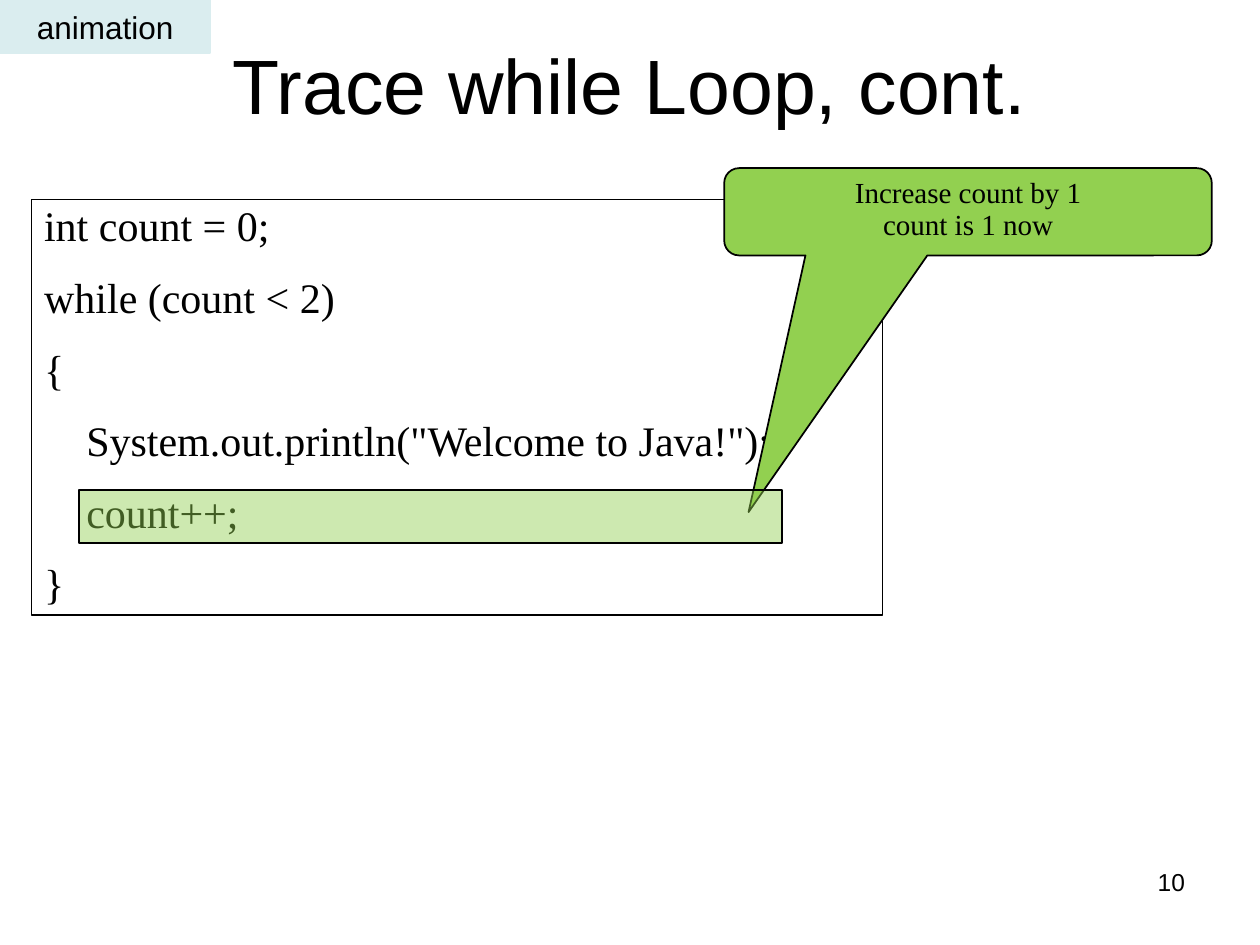
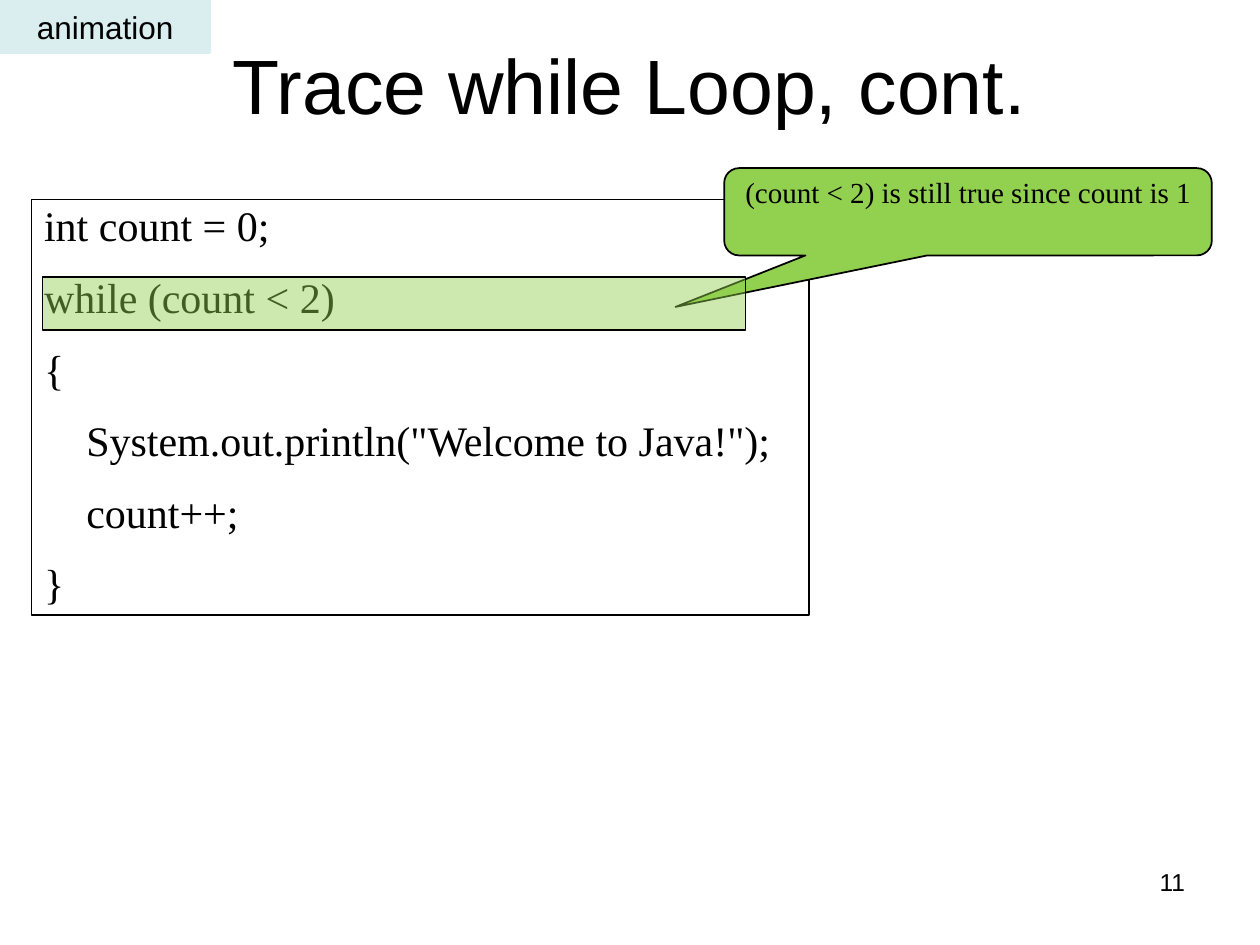
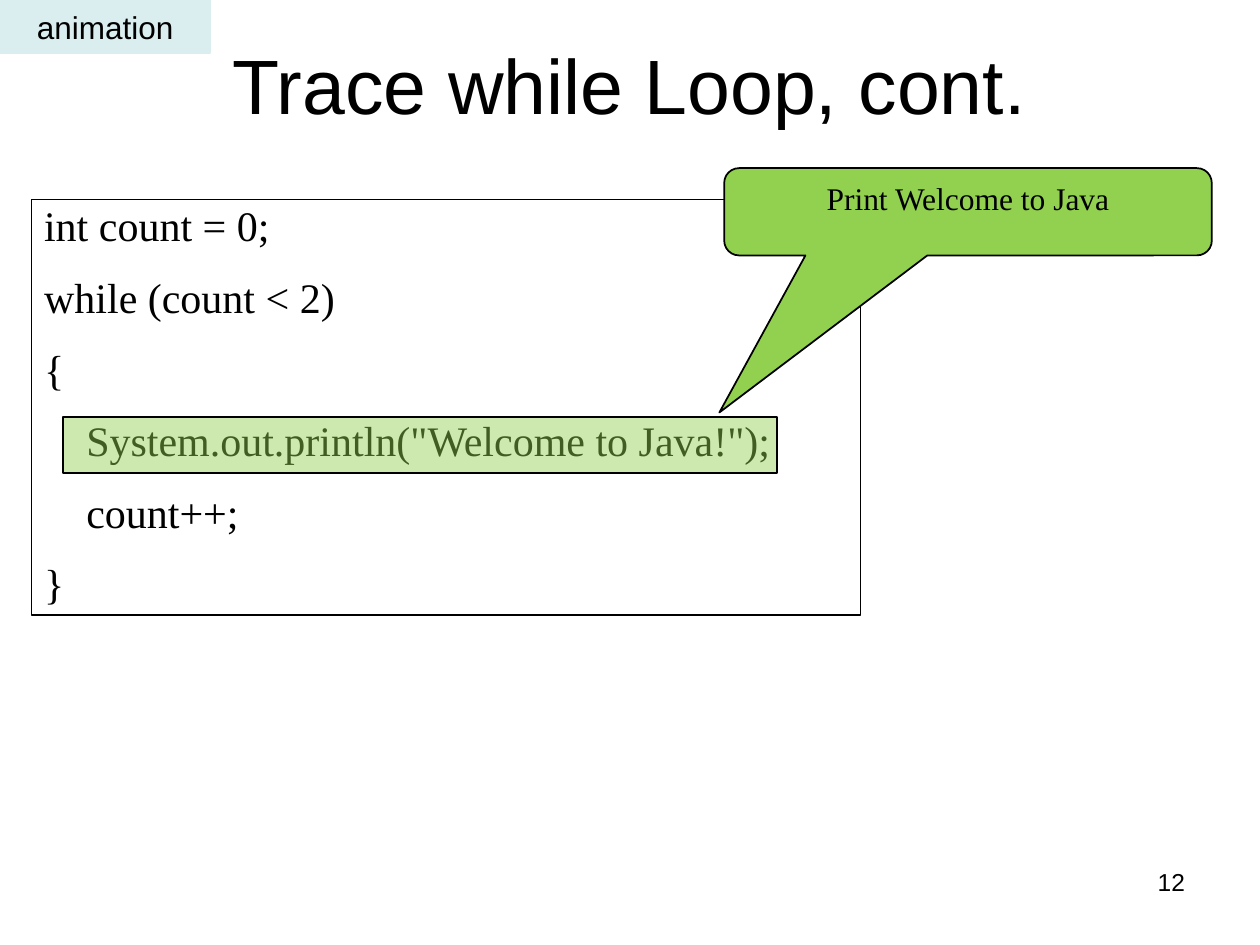
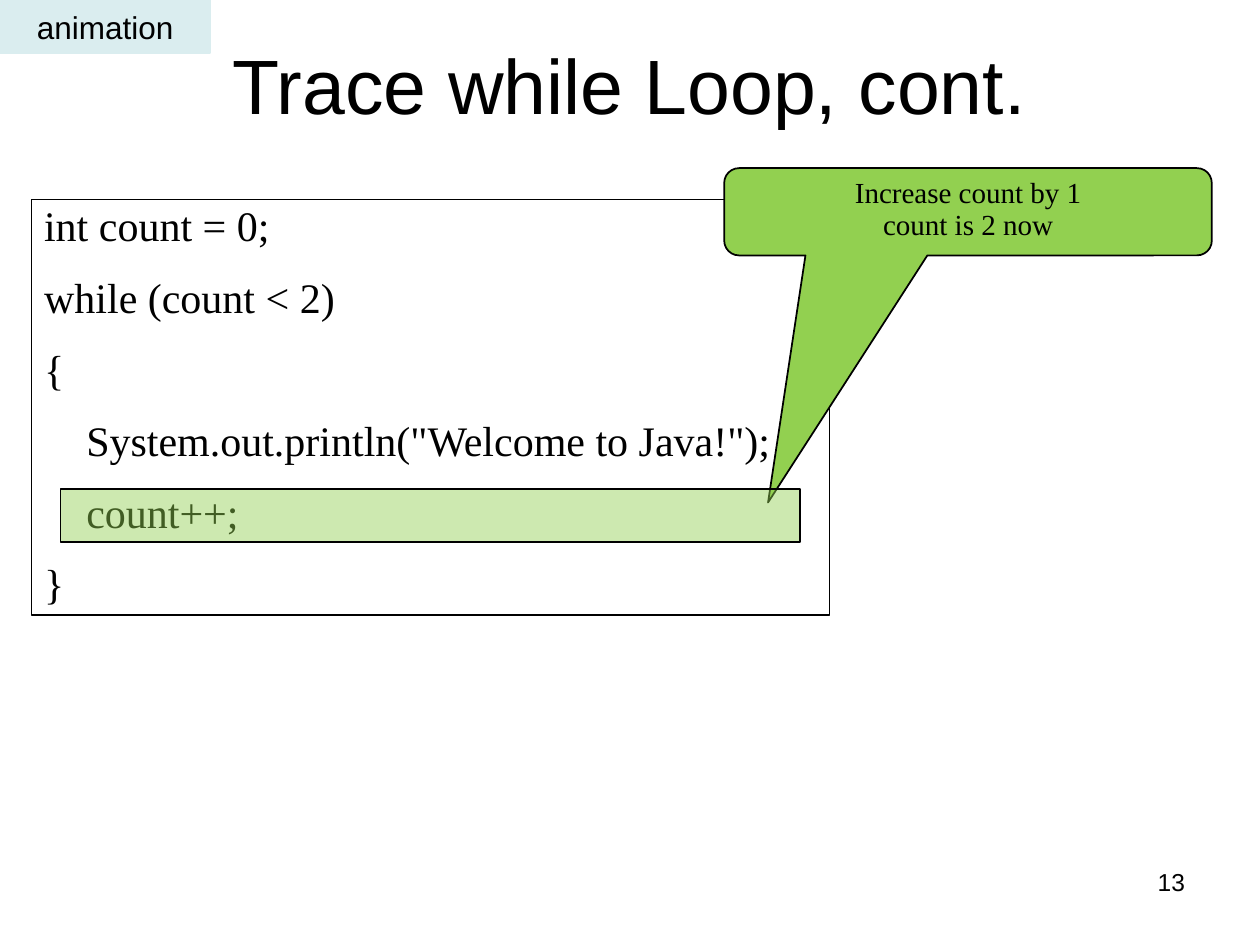
from lxml.etree import SubElement
from pptx import Presentation
from pptx.dml.color import RGBColor
from pptx.enum.shapes import MSO_SHAPE as Kind
from pptx.enum.text import MSO_ANCHOR as Anchor, MSO_AUTO_SIZE as Fit, PP_ALIGN as Align
from pptx.oxml.ns import qn
from pptx.util import Cm, Pt

BLACK, GREEN, TEAL = "000000", "92D050", "DAEDEF"
SANS, SERIF = "Arial", "Times New Roman"
CODE = [
    (0, "int count = 0;"),
    (0, "while (count < 2)"),
    (0, "{"),
    (1, 'System.out.println("Welcome to Java!");'),
    (1, "count++;"),
    (0, "}"),
]
INDENT = Cm(0.85)
FIRST = 10

STEPS = [
    dict(width=17.15, tip=(-0.45, 3.44), mark=(1.6, 9.88, 14.17, 1.07),
         note=["Increase count by 1", "count is 1 now"]),
    dict(width=15.67, tip=(-0.6, 1.09), mark=(0.86, 5.59, 14.17, 1.07),
         note=["(count < 2) is still true since count is 1"]),
    dict(width=16.71, tip=(-0.51, 2.3), mark=(1.27, 8.41, 14.4, 1.12),
         note=["Print Welcome to Java"], size=18, gap=1.0),
    dict(width=16.08, tip=(-0.41, 3.33), mark=(1.22, 9.86, 14.91, 1.07),
         note=["Increase count by 1", "count is 2 now"]),
]


def color(text):
    return RGBColor.from_string(text)


def write(shape, lines, size=18, font=SANS, align=Align.LEFT, anchor=Anchor.TOP,
          gap=1.0, before=0, wrap=True, fit=Fit.NONE):
    frame = shape.text_frame
    frame.word_wrap = wrap
    frame.auto_size = fit
    frame.vertical_anchor = anchor
    for i, (level, text) in enumerate(lines):
        para = frame.paragraphs[0] if i == 0 else frame.add_paragraph()
        para.alignment = align
        para.line_spacing = gap
        para.space_before = Pt(before)
        if level:
            para._p.get_or_add_pPr().set("marL", str(level * INDENT))
        run = para.add_run()
        run.text = text
        run.font.size = Pt(size)
        run.font.name = font
        run.font.color.rgb = color(BLACK)


class Deck:
    def __init__(self):
        self.show = Presentation()
        self.show.slide_width, self.show.slide_height = Cm(25.4), Cm(19.05)
        self.slide = None

    def start(self):
        self.slide = self.show.slides.add_slide(self.show.slide_layouts[6])

    def label(self, box, text, **style):
        shape = self.slide.shapes.add_textbox(*map(Cm, box))
        write(shape, [(0, text)], **style)

    def block(self, box, kind=Kind.RECTANGLE, fill=None, line=BLACK, weight=1):
        shape = self.slide.shapes.add_shape(kind, *map(Cm, box))
        shape.shadow.inherit = False
        if fill:
            shape.fill.solid()
            shape.fill.fore_color.rgb = color(fill)
        else:
            shape.fill.background()
        shape.line.color.rgb = color(line)
        shape.line.width = Pt(weight)
        return shape

    def title(self, text):
        self.label((1.9, 0.64, 21.59, 2.11), text, size=44,
                   align=Align.CENTER, anchor=Anchor.MIDDLE)

    def code(self, width):
        shape = self.block((0.64, 4.02, width, 8.38), weight=0.75)
        write(shape, CODE, size=24, font=SERIF, gap=0.9, before=15,
              fit=Fit.SHAPE_TO_FIT_TEXT)

    def callout(self, note, tip, size, gap):
        shape = self.block((14.6, 3.39, 9.83, 1.76),
                           Kind.ROUNDED_RECTANGULAR_CALLOUT, GREEN)
        for i, value in enumerate((*tip, 0.17)):
            shape.adjustments[i] = value
        write(shape, [(0, text) for text in note], size=size, font=SERIF,
              align=Align.CENTER, gap=gap)

    def mark(self, box):
        shape = self.block(box, fill=GREEN)
        tint = shape._element.spPr.find(qn("a:solidFill")).find(qn("a:srgbClr"))
        SubElement(tint, qn("a:alpha")).set("val", "45000")

    def badge(self, text):
        shape = self.block((0, 0, 4.24, 1.07), fill=TEAL, line=TEAL)
        write(shape, [(0, text)], align=Align.CENTER, anchor=Anchor.MIDDLE, wrap=False)

    def number(self, value):
        self.label((18.21, 17.36, 5.93, 1.32), str(value), size=14, align=Align.RIGHT)

    def step(self, page, width, tip, mark, note, size=16.6, gap=0.9):
        self.start()
        self.title("Trace while Loop, cont.")
        self.code(width)
        self.callout(note, tip, size, gap)
        self.mark(mark)
        self.badge("animation")
        self.number(page)


def main():
    deck = Deck()
    for page, step in enumerate(STEPS, FIRST):
        deck.step(page, **step)
    deck.show.save("out.pptx")


if __name__ == "__main__":
    main()
